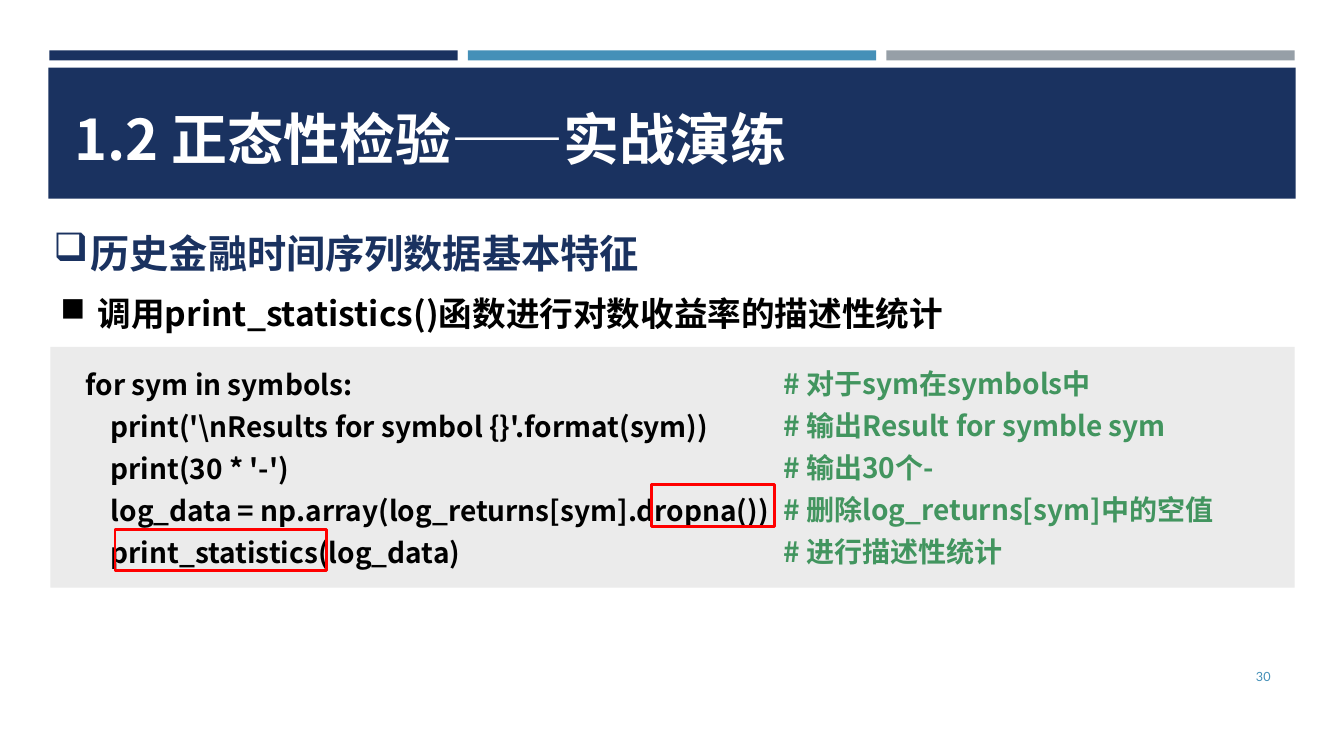
import pptx
import pptx.util
import pptx.dml.color
import pptx.enum.shapes
import pptx.enum.text
import pptx.oxml.ns
import lxml.etree

PX = 9144
SANS = "Noto Sans CJK SC"
HUES = {
    "navy": "1A3260", "blue": "4590B8", "gray": "969FA7", "pale": "EBEBEB",
    "black": "000000", "white": "FFFFFF", "green": "42955F", "red": "FF0000",
}
CODE = [
    (0, "for sym in symbols:", "# 对于sym在symbols中"),
    (25, "print('\\nResults for symbol {}'.format(sym))", "# 输出Result for symble sym"),
    (25, "print(30 * '-')", "# 输出30个-"),
    (25, "log_data = np.array(log_returns[sym].dropna())", "# 删除log_returns[sym]中的空值"),
    (25, "print_statistics(log_data)", "# 进行描述性统计"),
]


def px(count):
    return pptx.util.Emu(count * PX)


def paint(name):
    return pptx.dml.color.RGBColor.from_string(HUES[name])


def add_box(slide, left, top, width, height, fill=None, edge=None):
    kind = pptx.enum.shapes.MSO_SHAPE.RECTANGLE
    box = slide.shapes.add_shape(kind, px(left), px(top), px(width), px(height))
    box.shadow.inherit = False
    if fill:
        box.fill.solid()
        box.fill.fore_color.rgb = paint(fill)
    else:
        box.fill.background()
    if edge:
        box.line.color.rgb = paint(edge)
        box.line.width = pptx.util.Pt(2)
    else:
        box.line.fill.background()


def add_frame(slide, left, top, width, height):
    frame = slide.shapes.add_textbox(px(left), px(top), px(width), px(height)).text_frame
    frame.word_wrap = True
    return frame


def add_run(para, text, size, hue, font=SANS, bold=True):
    run = para.add_run()
    run.text = text
    run.font.name = font
    run.font.size = pptx.util.Pt(size)
    run.font.bold = bold
    run.font.color.rgb = paint(hue)
    east = lxml.etree.SubElement(run.font._element, pptx.oxml.ns.qn("a:ea"))
    east.set("typeface", font)


def add_point(slide, left, top, width, height, mark, text, size, hue):
    para = add_frame(slide, left, top, width, height).paragraphs[0]
    para.line_spacing = 1.5
    para.space_after = pptx.util.Pt(12)
    props = para._p.get_or_add_pPr()
    props.set("marL", str(px(37)))
    props.set("indent", str(px(-37)))
    sign = lxml.etree.SubElement(props, pptx.oxml.ns.qn("a:buChar"))
    sign.set("char", mark)
    add_run(para, text, size, hue)


def add_lines(slide, left, top, width, height, lines, hue):
    frame = add_frame(slide, left, top, width, height)
    for row, (shift, text) in enumerate(lines):
        para = frame.add_paragraph() if row else frame.paragraphs[0]
        para.line_spacing = pptx.util.Pt(30)
        para._p.get_or_add_pPr().set("marL", str(px(shift)))
        add_run(para, text, 20, hue)


def main():
    deck = pptx.Presentation()
    deck.slide_width, deck.slide_height = px(1333), px(750)
    slide = deck.slides.add_slide(deck.slide_layouts[6])

    for step, hue in enumerate(["navy", "blue", "gray"]):
        add_box(slide, 49 + 415 * step, 50, 405, 10, hue)
    add_box(slide, 48, 67, 1237, 130, "navy")
    title = add_frame(slide, 64, 99, 1192, 77)
    add_run(title.paragraphs[0], "1.2 正态性检验——实战演练", 40, "white")

    add_point(slide, 43, 199, 1301, 72, "❑", "历史金融时间序列数据基本特征", 28, "navy")
    add_point(slide, 50, 266, 1284, 64, "■",
              "调用print_statistics()函数进行对数收益率的描述性统计", 24, "black")

    add_box(slide, 50, 344, 1234, 239, "pale")
    add_lines(slide, 75, 351, 1234, 217, [(shift, code) for shift, code, note in CODE], "black")
    add_lines(slide, 767, 350, 476, 217, [(0, note) for shift, code, note in CODE], "green")
    add_box(slide, 646, 481, 122, 41, edge="red")
    add_box(slide, 114, 525, 210, 41, edge="red")

    page = add_frame(slide, 1155, 651, 115, 40)
    page.vertical_anchor = pptx.enum.text.MSO_ANCHOR.MIDDLE
    page.paragraphs[0].alignment = pptx.enum.text.PP_ALIGN.RIGHT
    add_run(page.paragraphs[0], "30", 9, "blue", "Lato", False)

    deck.save("out.pptx")


if __name__ == "__main__":
    main()
